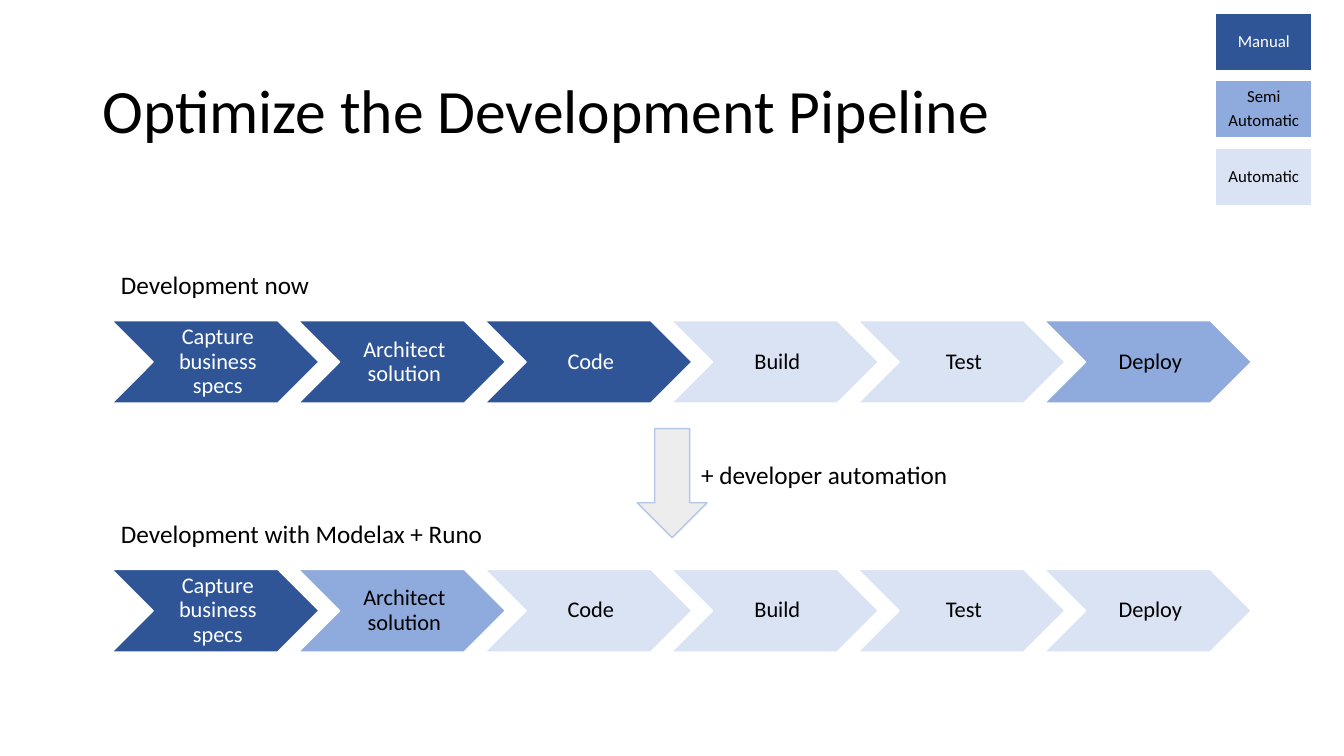
from pptx import Presentation
from pptx.dml.color import RGBColor
from pptx.enum.shapes import MSO_SHAPE as Preset
from pptx.enum.text import MSO_ANCHOR as Anchor, PP_ALIGN as Align
from pptx.util import Cm, Pt

FONT = "Calibri"
COLORS = {
    "manual": "2F5597",
    "semi": "8FAADC",
    "automatic": "DAE3F3",
    "arrow": "EDEDED",
    "arrow line": "B4C7E7",
    "white": "FFFFFF",
    "black": "000000",
}

STAGES = ["Capture business specs", "Architect solution", "Code", "Build", "Test", "Deploy"]
MODES_NOW = ["manual"] * 3 + ["automatic"] * 2 + ["semi"]
MODES_OPTIMIZED = ["manual", "semi"] + ["automatic"] * 4
LEGEND = {"manual": "Manual", "semi": "Semi\nAutomatic", "automatic": "Automatic"}


def color(name):
    return RGBColor.from_string(COLORS[name])


def write_text(shape, text, size, font_color="black", frame_format=None, paragraph_format=None):
    text_frame = shape.text_frame
    text_frame.text = text
    for name, value in {"word_wrap": True, **(frame_format or {})}.items():
        setattr(text_frame, name, value)
    for paragraph in text_frame.paragraphs:
        for name, value in (paragraph_format or {}).items():
            setattr(paragraph, name, value)
        for run in paragraph.runs:
            for name, value in {"name": FONT, "size": Pt(size)}.items():
                setattr(run.font, name, value)
            run.font.color.rgb = color(font_color)


def add_label(slide, text, box, size=18, frame_format=None, paragraph_format=None):
    label = slide.shapes.add_textbox(*map(Cm, box))
    write_text(label, text, size, "black", frame_format, paragraph_format)


def add_block(slide, preset, box, fill, line):
    shape = slide.shapes.add_shape(preset, *map(Cm, box))
    shape.shadow.inherit = False
    shape.fill.solid()
    shape.fill.fore_color.rgb = color(fill)
    shape.line.color.rgb = color(line)
    shape.line.width = Pt(1)
    return shape


def add_mode_block(slide, preset, box, mode, text, size, insets):
    """Add a block whose fill and text colour show how automatic the work is."""
    shape = add_block(slide, preset, box, mode, "white")
    sides = ("margin_left", "margin_top", "margin_right", "margin_bottom")
    frame_format = {"vertical_anchor": Anchor.MIDDLE, **dict(zip(sides, map(Cm, insets)))}
    paragraph_format = {
        "alignment": Align.CENTER,
        "line_spacing": 0.9,
        "space_after": Pt(0.35 * size),
    }
    font_color = "white" if mode == "manual" else "black"
    write_text(shape, text, size, font_color, frame_format, paragraph_format)


def add_pipeline(slide, top, modes):
    for index, (stage, mode) in enumerate(zip(STAGES, modes)):
        box = (2.82 + 4.7 * index, top, 5.22, 2.08)
        add_mode_block(slide, Preset.CHEVRON, box, mode, stage, 16, (0.17, 0.05, 0.05, 0.05))


def add_legend(slide):
    for index, (mode, text) in enumerate(LEGEND.items()):
        box = (30.63, 0.33 + 1.7 * index, 2.44, 1.45)
        add_mode_block(slide, Preset.RECTANGLE, box, mode, text, 12, (0.13,) * 4)


def main():
    presentation = Presentation()
    presentation.slide_width, presentation.slide_height = Cm(33.87), Cm(19.05)
    slide = presentation.slides.add_slide(presentation.slide_layouts[6])

    # Title
    add_label(slide, "Optimize the Development Pipeline", (2.33, 1.01, 29.21, 3.68), 44,
              {"vertical_anchor": Anchor.MIDDLE}, {"line_spacing": 0.9})

    # Pipelines and legend
    add_pipeline(slide, 8.08, MODES_NOW)
    add_pipeline(slide, 14.35, MODES_OPTIMIZED)
    add_legend(slide)

    # Step from one pipeline to the other
    add_block(slide, Preset.DOWN_ARROW, (16.06, 10.8, 1.76, 2.75), "arrow", "arrow line")

    # Labels
    add_label(slide, "Development now", (2.8, 6.66, 7.06, 1.03))
    add_label(slide, "Development with Modelax + Runo", (2.8, 12.93, 10.72, 1.03))
    add_label(slide, "+ developer automation", (17.42, 11.45, 10.87, 1.03))

    presentation.save("out.pptx")


if __name__ == "__main__":
    main()
